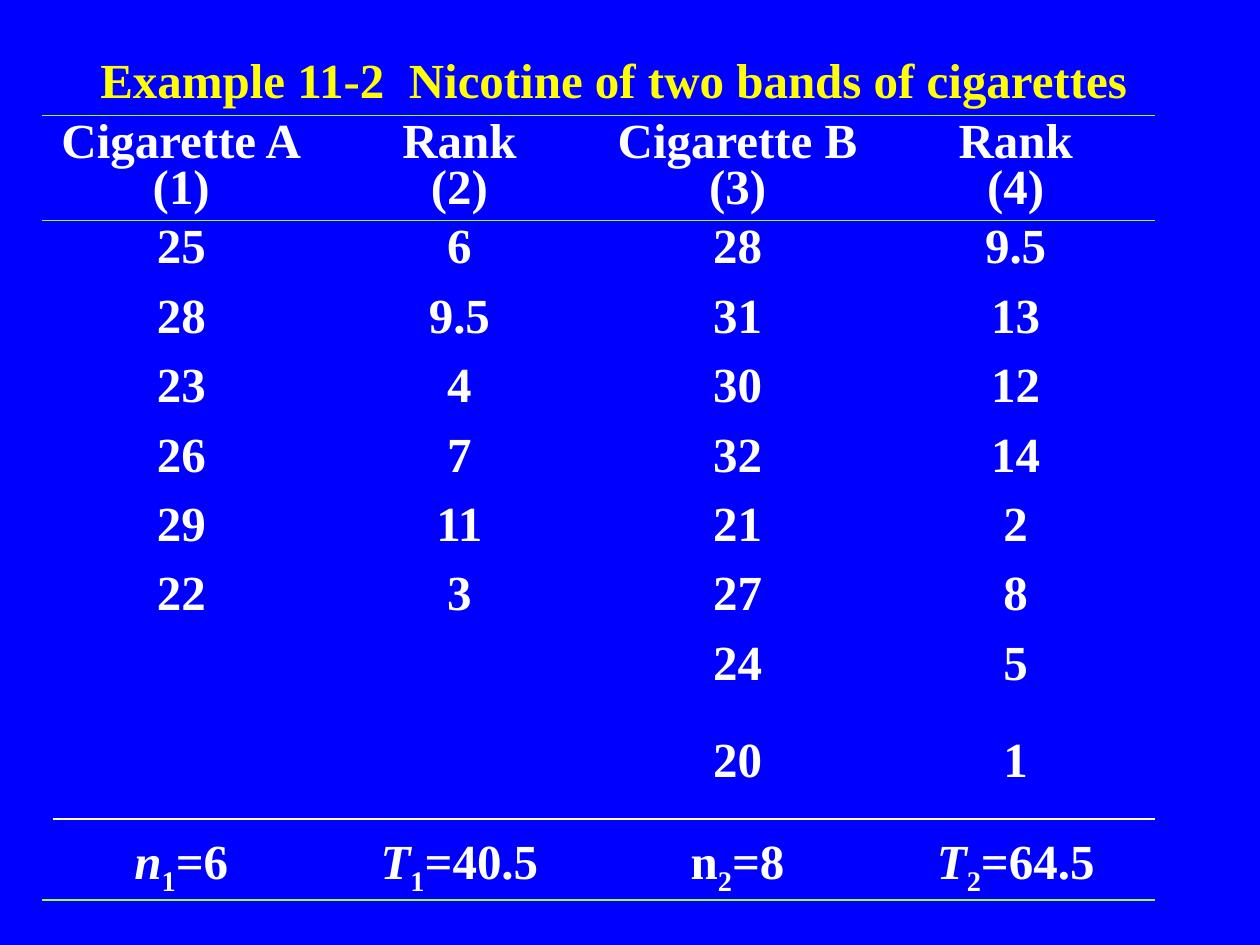
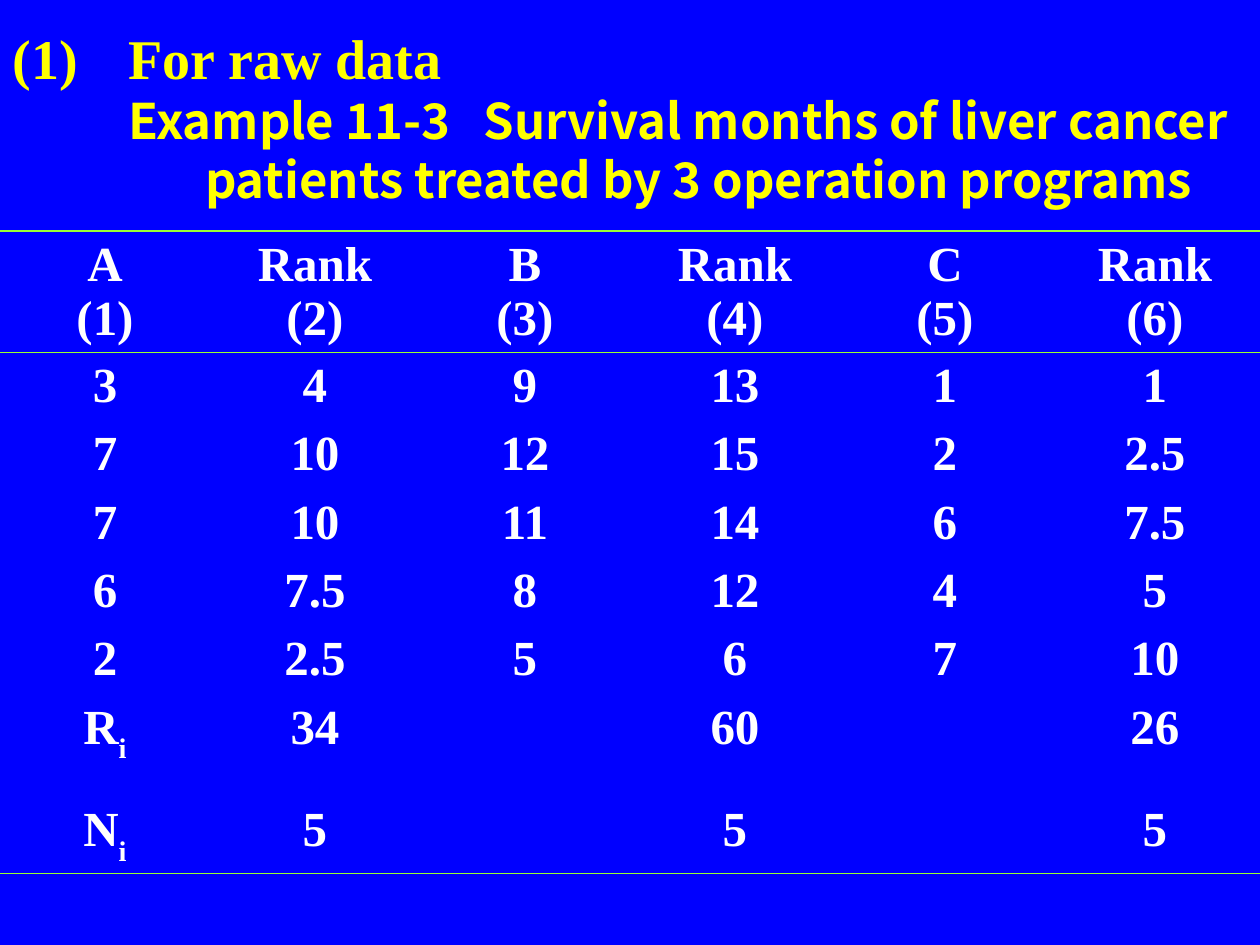
from lxml import etree
from pptx import Presentation
from pptx.dml.color import RGBColor
from pptx.enum.shapes import MSO_CONNECTOR
from pptx.enum.text import MSO_ANCHOR, MSO_AUTO_SIZE, PP_ALIGN
from pptx.oxml.ns import qn
from pptx.util import Cm, Pt

LINE = MSO_CONNECTOR.STRAIGHT
MIDDLE = MSO_ANCHOR.MIDDLE
NO_FIT = MSO_AUTO_SIZE.NONE
LEFT, CENTER = PP_ALIGN.LEFT, PP_ALIGN.CENTER

BLUE, YELLOW, WHITE, GREEN = "0000FF", "FFFF00", "FFFFFF", "99FF33"
SERIF, SANS = "Times New Roman", "Noto Sans CJK KR"
TITLE_ONLY = 5

CIGS = [
    ["Cigarette A\n(1)", "Rank\n(2)", "Cigarette B\n(3)", "Rank\n(4)"],
    ["25", "6", "28", "9.5"],
    ["28", "9.5", "31", "13"],
    ["23", "4", "30", "12"],
    ["26", "7", "32", "14"],
    ["29", "11", "21", "2"],
    ["22", "3", "27", "8"],
    ["", "", "24", "5"],
    ["", "", "20", "1"],
    ["*n_1=6", "*T_1=40.5", "n_2=8", "*T_2=64.5"],
]
MONTHS = [
    ["A\n(1)", "Rank\n(2)", "B\n(3)", "Rank\n(4)", "C\n(5)", "Rank\n(6)"],
    ["3", "4", "9", "13", "1", "1"],
    ["7", "10", "12", "15", "2", "2.5"],
    ["7", "10", "11", "14", "6", "7.5"],
    ["6", "7.5", "8", "12", "4", "5"],
    ["2", "2.5", "5", "6", "7", "10"],
    ["R_i", "34", "", "60", "", "26"],
    ["N_i", "5", "", "5", "", "5"],
]


def color(code):
    return RGBColor.from_string(code)


def style(font, code, size=28, name=SERIF):
    font.name, font.size, font.bold = name, Pt(size), True
    font.color.rgb = color(code)


def add_title(slide, box, lines, align):
    """Fill the title; each line is (text, size, font, left margin in cm)."""
    title = slide.shapes.title
    title.left, title.top, title.width, title.height = map(Cm, box)
    frame = title.text_frame
    frame.text = "\n".join(line[0] for line in lines)
    frame.word_wrap, frame.auto_size = True, NO_FIT
    frame.vertical_anchor = MIDDLE
    for para, (_, size, name, margin) in zip(frame.paragraphs, lines):
        para.alignment = align
        para._p.get_or_add_pPr().set("marL", str(Cm(margin)))
        for run in para.runs:
            style(run.font, YELLOW, size, name)
    return frame


def number(para, hang):
    """Give the paragraph a hanging number such as (1)."""
    props = para._p.get_or_add_pPr()
    props.set("indent", str(-Cm(hang)))
    etree.SubElement(props, qn("a:buFont"), typeface=SERIF)
    etree.SubElement(props, qn("a:buAutoNum"), type="arabicParenBoth")


def set_edges(cell, ruled):
    """Rule the named sides (T, B) and clear the others."""
    props = cell._tc.get_or_add_tcPr()
    for spot, side in enumerate("LRTB"):
        edge = etree.Element(qn(f"a:ln{side}"), w=str(Pt(1)))
        if side in ruled:
            fill = etree.SubElement(edge, qn("a:solidFill"))
            etree.SubElement(fill, qn("a:srgbClr"), val=GREEN)
        else:
            etree.SubElement(edge, qn("a:noFill"))
        props.insert(spot, edge)


def add_symbol(para, text, drop):
    """Write a symbol: * starts an italic one, _ lowers one letter."""
    head, tail = text.split("_")
    for part in (head.lstrip("*"), tail[0], tail[1:]):
        if part:
            para.add_run().text = part
    para.runs[0].font.italic = head.startswith("*")
    para.runs[1]._r.get_or_add_rPr().set("baseline", str(-1000 * drop))


def fill_cell(cell, text, space, drop):
    cell.fill.background()
    frame = cell.text_frame
    if "_" in text:
        add_symbol(frame.paragraphs[0], text, drop)
    else:
        frame.text = text
    for para in frame.paragraphs:
        para.alignment, para.line_spacing = CENTER, space
        for run in para.runs:
            style(run.font, WHITE)


def add_ranks(slide, left, top, width, heights, data, space, drop):
    """Add a table ruled around its head and under its last row."""
    count = len(data[0])
    table = slide.shapes.add_table(
        len(data), count, Cm(left), Cm(top), Cm(width), Cm(sum(heights))
    ).table
    table.first_row = table.horz_banding = False
    for col in table.columns:
        col.width = round(Cm(width) / count)
    rules = {0: "TB", 1: "T", len(data) - 1: "B"}
    for r, (height, row) in enumerate(zip(heights, data)):
        table.rows[r].height = Cm(height)
        for c, text in enumerate(row):
            cell = table.cell(r, c)
            fill_cell(cell, text, space, drop)
            set_edges(cell, rules.get(r, ""))


def add_rule(slide, left, top, width):
    rule = slide.shapes.add_connector(
        LINE, Cm(left), Cm(top), Cm(left + width), Cm(top)
    )
    rule.line.color.rgb, rule.line.width = color(WHITE), Pt(0.75)
    etree.SubElement(rule._element.spPr, qn("a:effectLst"))


def two_groups(slide):
    text = "Example 11-2  Nicotine of two bands of cigarettes"
    add_title(slide, (0.84, 0.43, 23.06, 2.34), [(text, 28, SERIF, 0)], CENTER)
    heights = [2.12] + [1.4] * 6 + [1.95] * 2 + [1.4]
    add_ranks(slide, 0.85, 2.33, 22.43, heights, CIGS, 0.85, 25)
    add_rule(slide, 1.06, 16.51, 22.23)


def three_groups(slide):
    lines = [
        ("For raw data", 32, SERIF, 2.33),
        ("Example 11-3   Survival months of liver cancer", 28, SANS, 2.33),
        ("patients treated by 3 operation programs", 28, SANS, 3.88),
    ]
    frame = add_title(slide, (0, 0.85, 25.4, 2.96), lines, LEFT)
    number(frame.paragraphs[0], 2.33)
    heights = [2.44] + [1.38] * 5 + [2.06, 1.55]
    add_ranks(slide, 0, 4.66, 25.4, heights, MONTHS, 1.0, 30)


def main():
    deck = Presentation()
    deck.slide_width, deck.slide_height = Cm(25.4), Cm(19.05)
    back = deck.slide_master.background.fill
    back.solid()
    back.fore_color.rgb = color(BLUE)
    for build in (two_groups, three_groups):
        build(deck.slides.add_slide(deck.slide_layouts[TITLE_ONLY]))
    deck.save("out.pptx")


if __name__ == "__main__":
    main()
